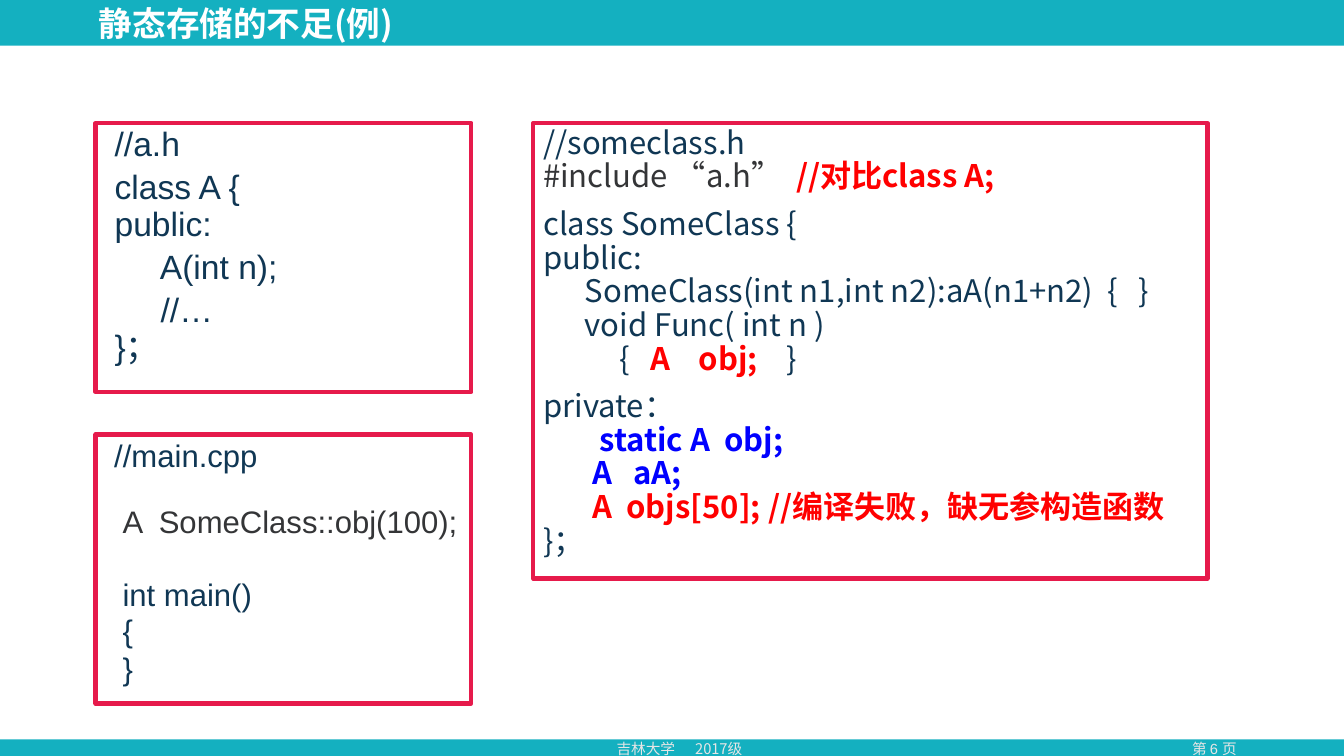
import pptx
import pptx.util
import pptx.dml.color
import pptx.enum.shapes
import pptx.enum.text
import pptx.oxml.ns
import lxml.etree

Cm = pptx.util.Cm
Pt = pptx.util.Pt
RGB = pptx.dml.color.RGBColor
ALIGN = pptx.enum.text.PP_ALIGN
ANCHOR = pptx.enum.text.MSO_ANCHOR
RECT = pptx.enum.shapes.MSO_SHAPE.RECTANGLE

TEAL = RGB(0x14, 0xB0, 0xC0)
WHITE = RGB(0xFF, 0xFF, 0xFF)
PALE = RGB(0xE7, 0xE6, 0xE6)
ROSE = RGB(0xE6, 0x1A, 0x4B)
NAVY = RGB(0x10, 0x37, 0x54)
GREY = RGB(0x34, 0x35, 0x37)
RED = RGB(0xFF, 0x00, 0x00)
BLUE = RGB(0x00, 0x00, 0xFF)
SANS = "Noto Sans CJK SC"
WIDE, HIGH = 33.87, 19.05
LEFT, TOP = 2.41, 3.1

HEAD = [
    (0.23, 0, [("//a.h", NAVY)]),
    (0.23, 4.3, [("class A {", NAVY)]),
    (0.23, 0, [("public:", NAVY)]),
    (1.37, 4.3, [("A(int n);", NAVY)]),
    (1.39, 4.3, [("//…", NAVY)]),
    (0.23, 0, [("}；", NAVY)]),
]
MAIN = [
    (0.22, 0, [("//main.cpp", NAVY)]),
    (0.43, 22, [("A  SomeClass::obj(100);", GREY)]),
    (0.43, 26.5, [("int main()", NAVY)]),
    (0.43, 0, [("{", NAVY)]),
    (0.43, 2, [("}", NAVY)]),
]
SOME = [
    (0, 0, [("//someclass.h", NAVY)]),
    (0, 0, [("#include “a.h”  ", GREY), ("//对比class A;", RED)]),
    (0, 10, [("class SomeClass {", NAVY)]),
    (0, 0, [("public:", NAVY)]),
    (1.05, 0, [("SomeClass(int n1,int n2):aA(n1+n2)  {   }", NAVY)]),
    (1.05, 0, [("void Func( int n )", NAVY)]),
    (1.92, 0, [("{   ", NAVY), ("A    obj;   ", RED), (" }", NAVY)]),
    (0, 10, [("private：", NAVY)]),
    (1.42, 0, [("static A  obj;", BLUE)]),
    (1.24, 0, [("A   aA;", BLUE)]),
    (1.24, 0, [("A  objs[50]; //编译失败，缺无参构造函数", RED)]),
    (0, 0, [("}；", NAVY)]),
]


def style(run, face, size, color, bold=False):
    """Set the font of a run for Latin and Chinese text."""
    font = run.font
    font.name, font.size, font.bold = face, Pt(size), bold
    font.color.rgb = color
    tag = pptx.oxml.ns.qn("a:ea")
    lxml.etree.SubElement(run._r.get_or_add_rPr(), tag).set("typeface", SANS)


def block(slide, box):
    """Add a plain rectangle without a shadow."""
    shape = slide.shapes.add_shape(RECT, *map(Cm, box))
    shape.shadow.inherit = False
    return shape


def panel(slide, box, color):
    """Draw a filled area without an outline."""
    shape = block(slide, box)
    shape.fill.solid()
    shape.fill.fore_color.rgb = color
    shape.line.fill.background()


def label(slide, box, text, face, align=ALIGN.LEFT):
    """Write a small footer text, with a tab stop for its second part."""
    frame = slide.shapes.add_textbox(*map(Cm, box)).text_frame
    frame.word_wrap = True
    frame.text = text
    para = frame.paragraphs[0]
    para.alignment = align
    tabs = lxml.etree.SubElement(para._p.get_or_add_pPr(), pptx.oxml.ns.qn("a:tabLst"))
    stop = lxml.etree.SubElement(tabs, pptx.oxml.ns.qn("a:tab"))
    stop.set("pos", str(Cm(1.98)))
    stop.set("algn", "l")
    style(para.runs[0], face, 10.5, PALE)


def title(slide, box, text):
    """Place and format the title."""
    shape = slide.shapes.title
    shape.left, shape.top, shape.width, shape.height = map(Cm, box)
    frame = shape.text_frame
    frame.text = text
    frame.vertical_anchor = ANCHOR.MIDDLE
    frame.auto_size = pptx.enum.text.MSO_AUTO_SIZE.NONE
    frame.margin_top, frame.margin_bottom = Cm(0.18), Cm(0.08)
    para = frame.paragraphs[0]
    para.alignment, para.line_spacing = ALIGN.LEFT, 0.9
    style(para.runs[0], SANS, 24, WHITE, True)
    slide.shapes._spTree.append(shape._element)


def code(slide, box, lines, face, size, pitch, inset):
    """Draw a framed listing with indented lines."""
    shape = block(slide, box)
    shape.fill.background()
    shape.line.color.rgb, shape.line.width = ROSE, Pt(3)
    frame = shape.text_frame
    frame.word_wrap = True
    frame.vertical_anchor = ANCHOR.TOP
    frame.margin_top = Cm(inset)
    for row, (indent, gap, parts) in enumerate(lines):
        para = frame.add_paragraph() if row else frame.paragraphs[0]
        para.alignment = ALIGN.LEFT
        para.line_spacing, para.space_before = Pt(pitch), Pt(gap)
        para._p.get_or_add_pPr().set("marL", str(Cm(indent)))
        for text, color in parts:
            run = para.add_run()
            run.text = text
            style(run, face, size, color, color in (RED, BLUE))


def back(slide, box):
    """Draw the teal ground, its white field and the footer texts."""
    left, top, wide, high = box
    panel(slide, box, TEAL)
    panel(slide, (left, top + 1.15, wide, 17.48), WHITE)
    base = top + high - 0.53
    label(slide, (left + 28.75, base, 3.71, 0.71), "第 6 页", "Arial", ALIGN.CENTER)
    label(slide, (left + 15.29, base, 4.67, 0.71), "吉林大学\t2017级", SANS)


def build():
    """Build and save the slide."""
    deck = pptx.Presentation()
    deck.slide_width, deck.slide_height = Cm(WIDE), Cm(HIGH)
    slide = deck.slides.add_slide(deck.slide_layouts[5])
    back(slide, (0, 0, WIDE, HIGH))
    title(slide, (2.24, 0.1, 18.64, 0.99), "静态存储的不足(例)")
    code(slide, (LEFT, TOP, 9.47, 6.78), HEAD, "Arial", 24, 26.4, 0.08)
    code(slide, (LEFT, TOP + 7.85, 9.47, 6.78), MAIN, "Arial", 22.2, 25.5, 0.08)
    code(slide, (13.44, TOP, 16.99, 11.48), SOME, SANS, 22.2, 24, 0.1)
    deck.save("out.pptx")


build()
